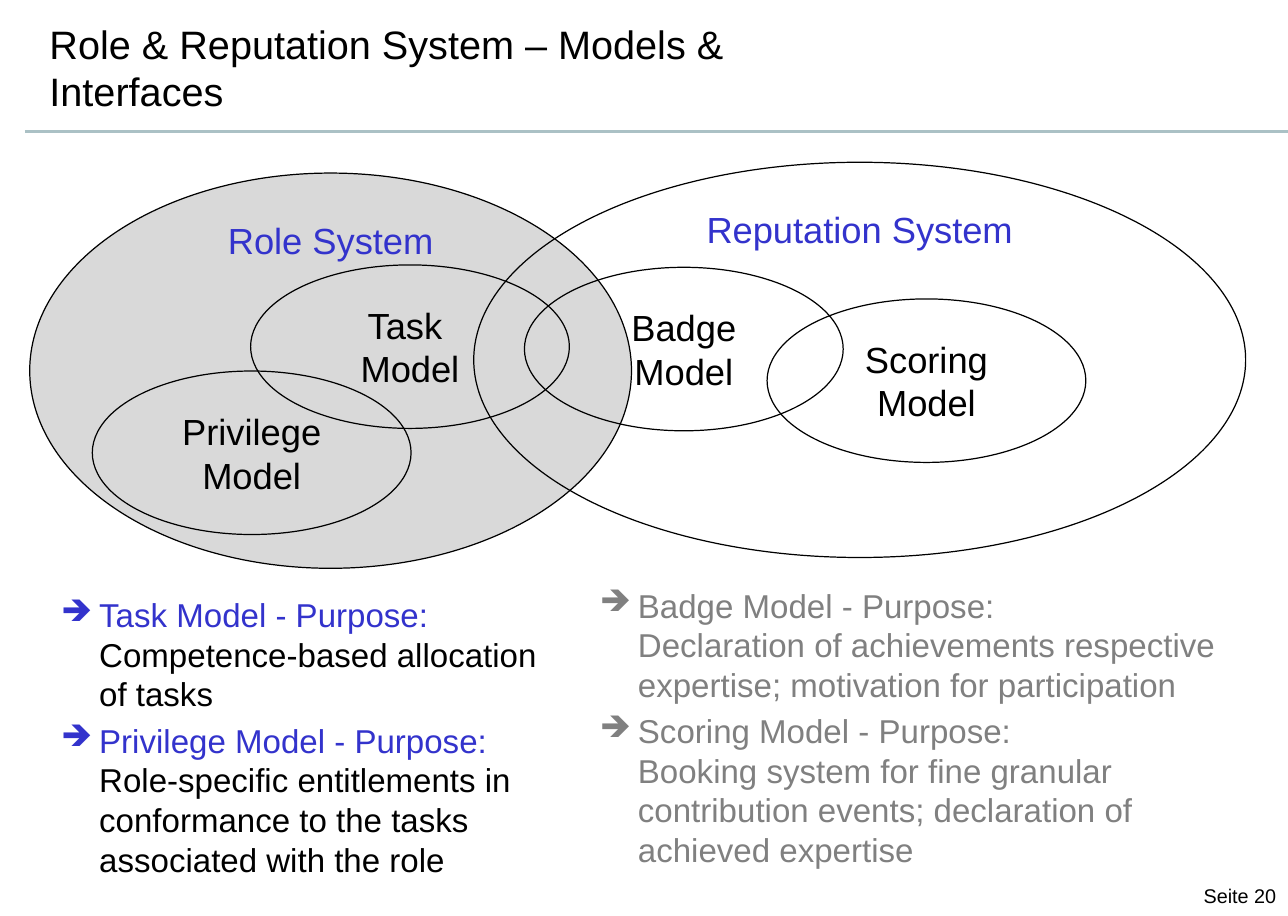
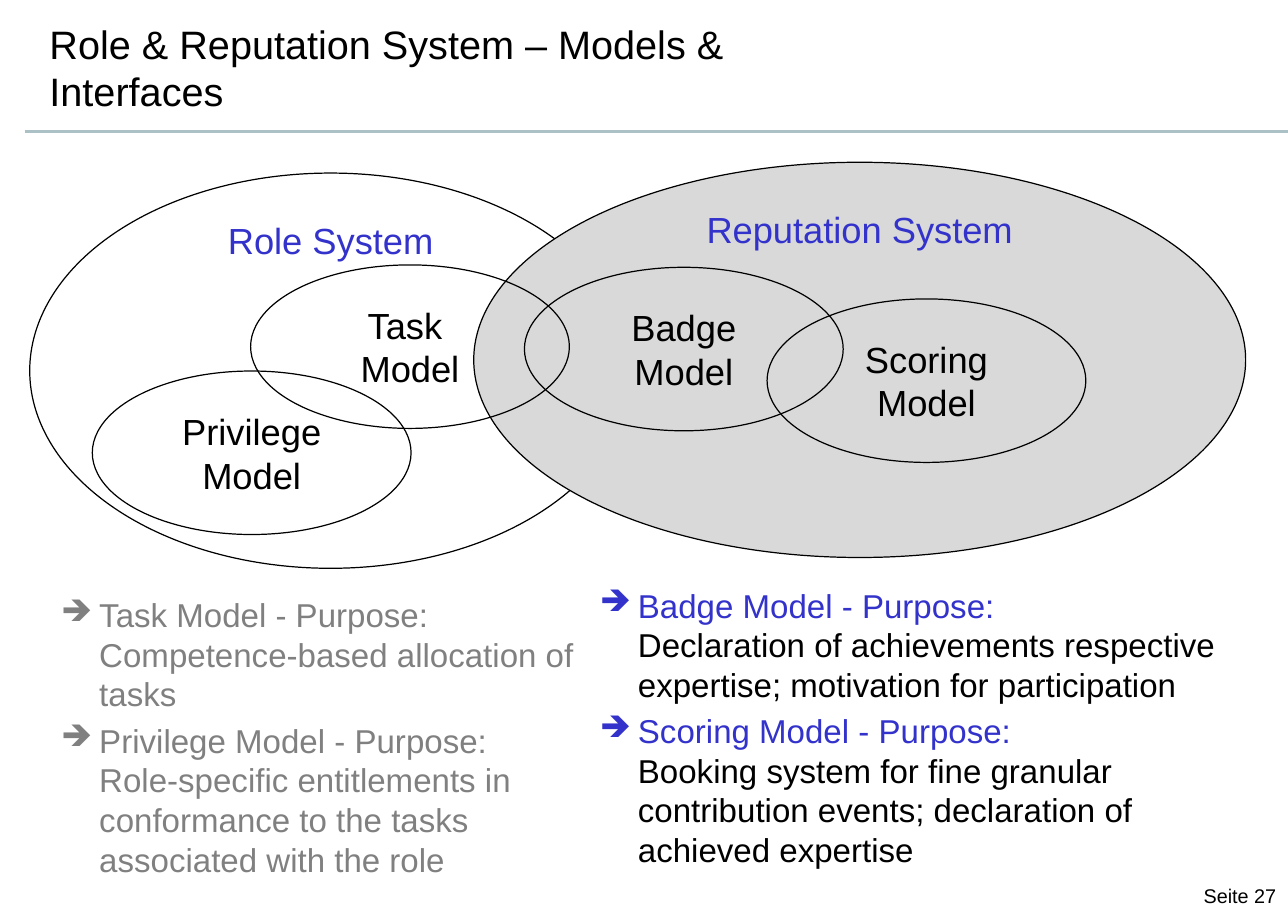
from lxml.etree import SubElement
from pptx import Presentation
from pptx.dml.color import RGBColor
from pptx.enum.shapes import MSO_CONNECTOR, MSO_SHAPE
from pptx.enum.text import MSO_ANCHOR, MSO_AUTO_SIZE, PP_ALIGN
from pptx.oxml.ns import qn
from pptx.util import Inches, Pt

BLACK, BLUE, GRAY = "000000", "3333CC", "808080"
SHADE, RULE = "D9D9D9", "ABC1C5"
TITLE = "Role & Reputation System – Models & Interfaces"

SYSTEMS = {
    "Role System": (2.31, 18.9, 46.72, 43.15),
    "Reputation System": (36.78, 17.72, 59.93, 43.15),
}
MODEL_SIZE = (24.75, 17.85)
MODELS = {
    "Badge\vModel": (40.72, 29.18),
    "Scoring\vModel": (59.56, 32.63),
    "Task \vModel": (19.46, 28.92),
    "Privilege\vModel": (7.17, 40.5),
}
PURPOSES = {
    "Role System": [
        ("Task Model - Purpose: ", "Competence-based allocation of tasks"),
        ("Privilege Model - Purpose: ",
         "Role-specific entitlements in conformance to the tasks associated with the role"),
    ],
    "Reputation System": [
        ("Badge Model - Purpose: ",
         "Declaration of achievements respective expertise; motivation for participation"),
        ("Scoring Model - Purpose: ",
         "Booking system for fine granular contribution events; declaration of achieved expertise"),
    ],
}


def color(value):
    return RGBColor.from_string(value)


class Deck:
    font_name = "Arial"

    def __init__(self):
        self.presentation = Presentation()
        self.presentation.slide_width = Pt(780)
        self.presentation.slide_height = Pt(555)
        self.slide = None

    def across(self, percent):
        return round(self.presentation.slide_width * percent / 100)

    def down(self, percent):
        return round(self.presentation.slide_height * percent / 100)

    def box(self, left, top, width, height):
        return self.across(left), self.down(top), self.across(width), self.down(height)

    def style(self, paragraph, size, *colors, align=PP_ALIGN.LEFT):
        paragraph.alignment = align
        for run, value in zip(paragraph.runs, colors):
            run.font.name = self.font_name
            run.font.size = Pt(size)
            run.font.color.rgb = color(value)

    def start(self, title, number):
        self.slide = self.presentation.slides.add_slide(self.presentation.slide_layouts[5])
        self.title(title)
        self.rule()
        self.text(f"Seite {number}", (87.9, 95.85, 12.1, 4), 12, BLACK, PP_ALIGN.RIGHT)

    def title(self, text):
        shape = self.slide.shapes.title
        shape.left, shape.top, shape.width, shape.height = self.box(2.92, 2.33, 67.68, 10)
        frame = shape.text_frame
        frame.text = text
        frame.word_wrap = True
        frame.auto_size = MSO_AUTO_SIZE.NONE
        frame.vertical_anchor = MSO_ANCHOR.MIDDLE
        self.style(frame.paragraphs[0], 24, BLACK)

    def rule(self):
        line = self.slide.shapes.add_connector(
            MSO_CONNECTOR.STRAIGHT, self.across(1.94), self.down(14.36),
            self.across(100), self.down(14.36))
        line.line.color.rgb = color(RULE)
        line.line.width = Pt(2.25)
        SubElement(line.element.spPr, qn("a:effectLst"))

    def text(self, text, area, size, value, align, anchor=MSO_ANCHOR.TOP):
        frame = self.slide.shapes.add_textbox(*self.box(*area)).text_frame
        frame.text = text
        frame.word_wrap = True
        frame.vertical_anchor = anchor
        self.style(frame.paragraphs[0], size, value, align=align)

    def ellipse(self, area, fill=None, text=""):
        shape = self.slide.shapes.add_shape(MSO_SHAPE.OVAL, *self.box(*area))
        shape.shadow.inherit = False
        if fill:
            shape.fill.solid()
            shape.fill.fore_color.rgb = color(fill)
        else:
            shape.fill.background()
        shape.line.color.rgb = color(BLACK)
        shape.line.width = Pt(0.75)
        if text:
            frame = shape.text_frame
            frame.vertical_anchor = MSO_ANCHOR.MIDDLE
            paragraph = frame.paragraphs[0]
            paragraph.text = text
            self.style(paragraph, 22, BLACK, BLACK, align=PP_ALIGN.CENTER)

    def system(self, name, fill):
        left, top, width, height = SYSTEMS[name]
        self.ellipse((left, top, width, height), fill)
        self.text(name, (left, top + 4.36, width, 5.84), 22, BLUE,
                  PP_ALIGN.CENTER, MSO_ANCHOR.MIDDLE)

    def bullets(self, items, area, colors):
        frame = self.slide.shapes.add_textbox(*self.box(*area)).text_frame
        frame.word_wrap = True
        for index, item in enumerate(items):
            paragraph = frame.add_paragraph() if index else frame.paragraphs[0]
            paragraph.text = "\v".join(item)
            if index:
                paragraph.space_before = Pt(4)
            properties = paragraph._p.get_or_add_pPr()
            properties.set("marL", str(Inches(0.32)))
            properties.set("indent", str(-Inches(0.32)))
            SubElement(properties, qn("a:buSzPct"), val="90000")
            SubElement(properties, qn("a:buFont"), typeface="OpenSymbol")
            SubElement(properties, qn("a:buChar"), char="➔")
            self.style(paragraph, 20, *colors)


def main():
    deck = Deck()
    for number, active, role_width in ((20, "Role System", 40.44),
                                       (27, "Reputation System", 42.66)):
        deck.start(TITLE, number)
        for name in SYSTEMS:
            deck.system(name, SHADE if name == active else None)
        for name, position in MODELS.items():
            deck.ellipse(position + MODEL_SIZE, text=name)
        areas = {
            "Role System": (3.84, 64.29, role_width, 30),
            "Reputation System": (45.67, 63.23, 51.43, 30),
        }
        for name, area in areas.items():
            colors = (BLUE, BLACK) if name == active else (GRAY, GRAY)
            deck.bullets(PURPOSES[name], area, colors)
    deck.presentation.save("out.pptx")


if __name__ == "__main__":
    main()
